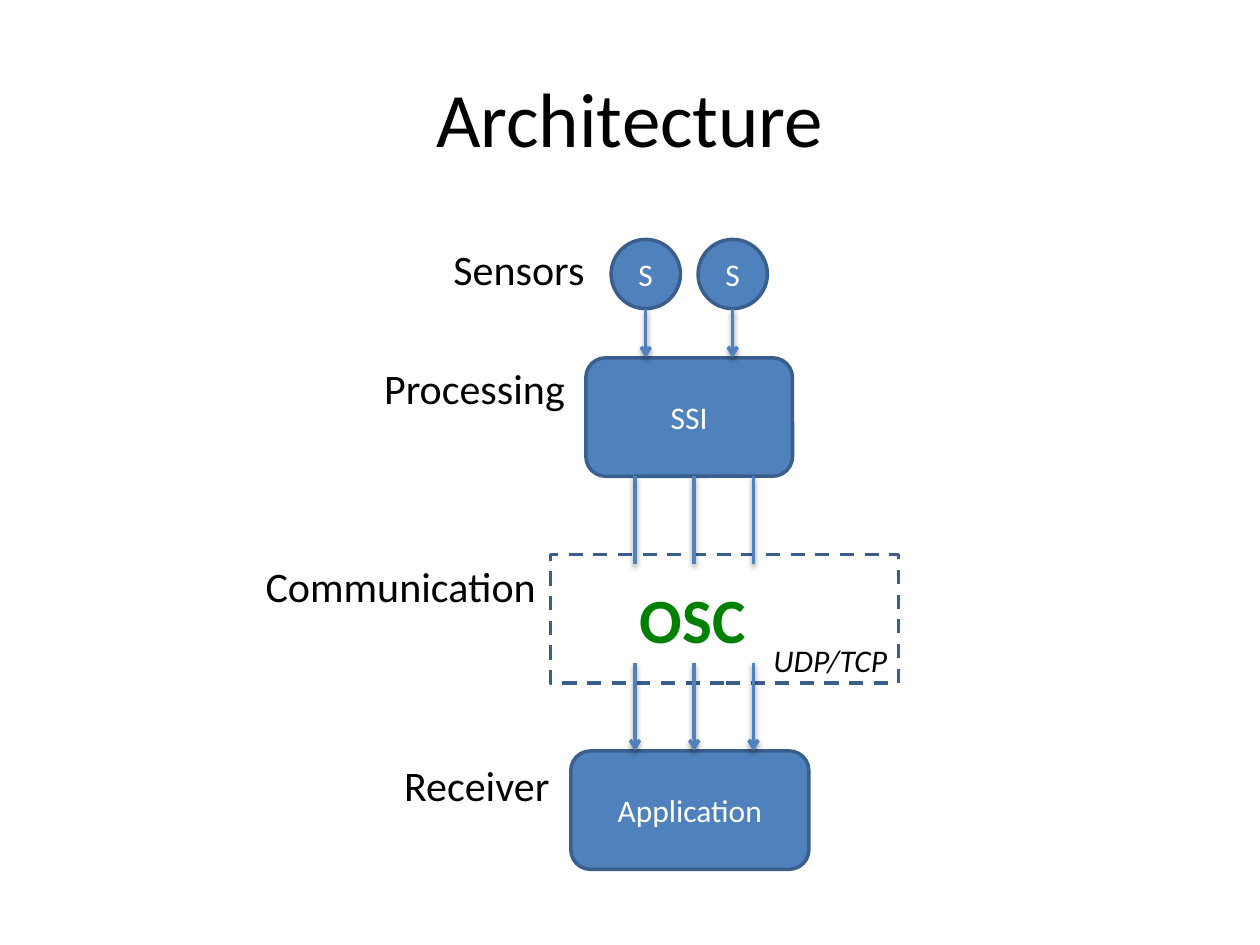
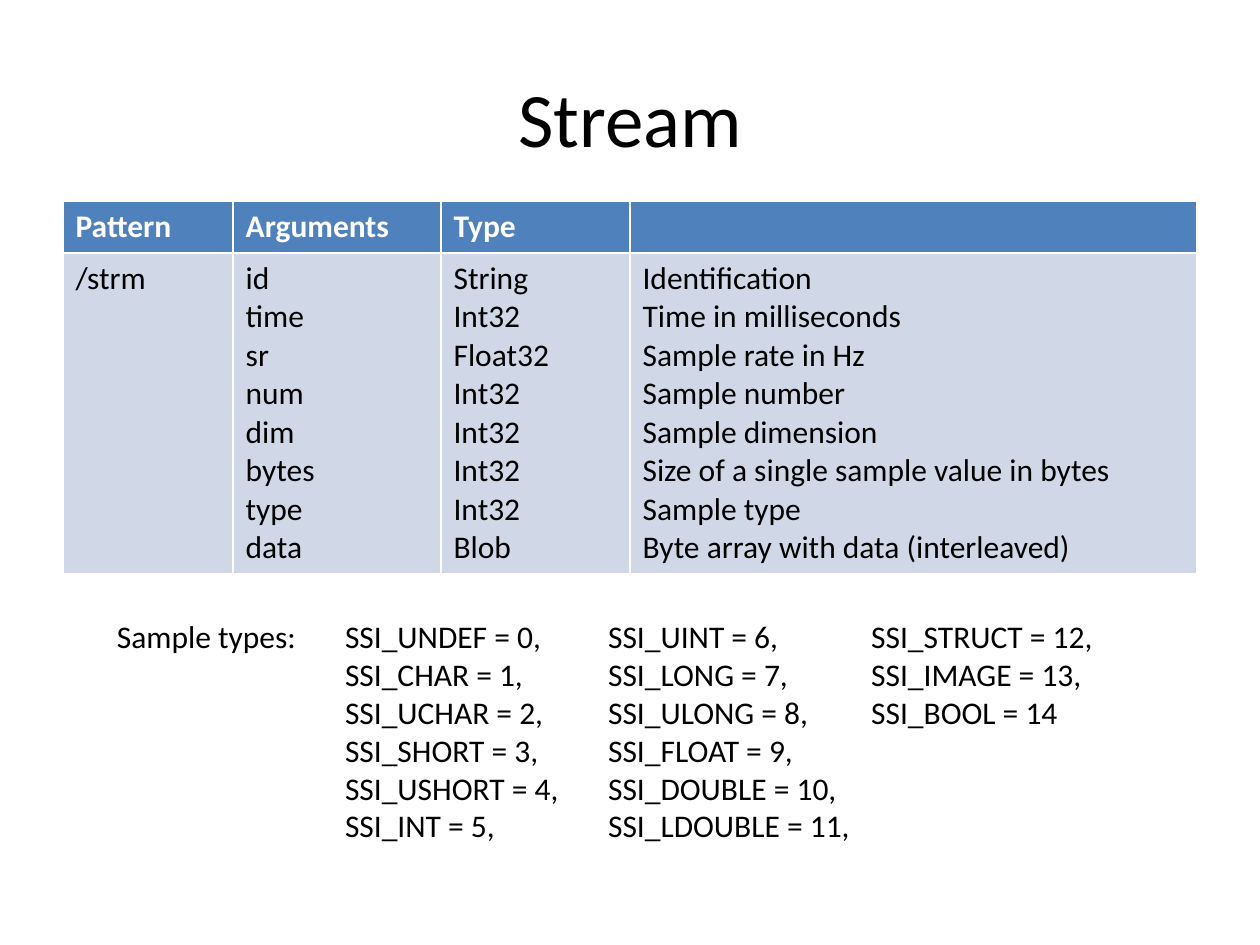
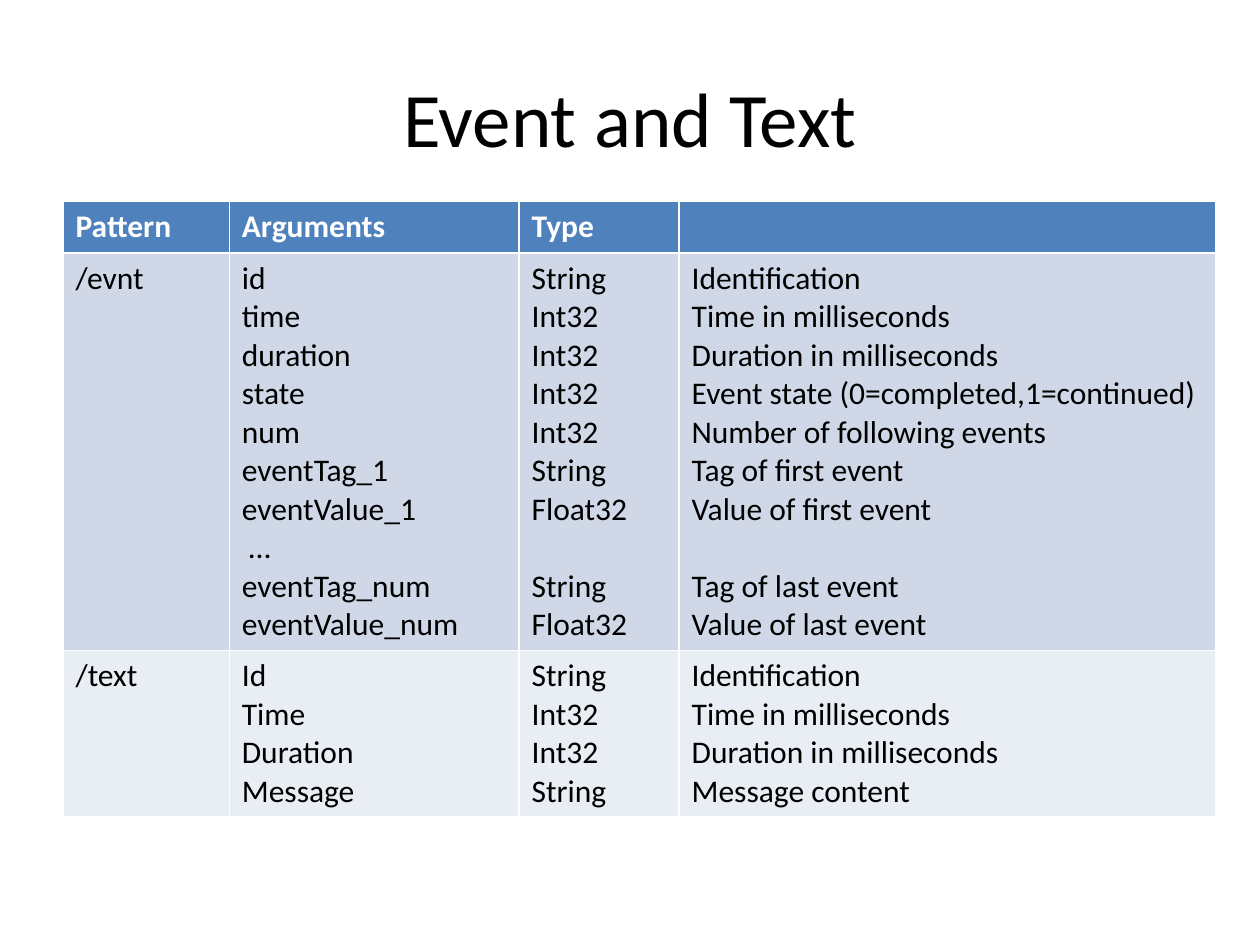
"""Build three slides on a sensor streaming architecture and its messages."""
from dataclasses import dataclass

import lxml.etree
import pptx
import pptx.dml.color
import pptx.enum.dml
import pptx.enum.shapes
import pptx.enum.text
import pptx.oxml
import pptx.oxml.ns
import pptx.util

FONT = "Calibri"
BLACK, WHITE, GREEN = "000000", "FFFFFF", "008000"
BLUE, DARK_BLUE = "4F81BD", "3A5F8C"
BANDS = ("D0D8E8", "E9EDF4")

# The slide is laid out on a grid of 100 columns and 75 rows.
COLUMNS, ROWS = 100, 75
HEADER_ROWS, LINE_ROWS, CELL_PADDING_ROWS = 4.1, 3, 1
LINE_HEIGHT_PT = 22  # one line of 18 pt text

ALIGN = pptx.enum.text.PP_ALIGN
SHAPE = pptx.enum.shapes.MSO_SHAPE
TITLE_ONLY = 5

presentation = pptx.Presentation()
presentation.slide_width = pptx.util.Inches(10)
presentation.slide_height = pptx.util.Inches(7.5)


@dataclass(frozen=True)
class Box:
    """A rectangle in grid columns and rows."""
    left: float
    top: float
    width: float
    height: float

    def emu(self) -> tuple:
        """Return left, top, width and height as slide lengths."""
        return across(self.left), down(self.top), across(self.width), down(self.height)


@dataclass(frozen=True)
class Style:
    """The look of a piece of text."""
    size: float = 18
    color: str = BLACK
    bold: bool = False
    italic: bool = False
    align: ALIGN = ALIGN.LEFT


@dataclass(frozen=True)
class Node:
    """A filled shape with a centred caption."""
    caption: str
    kind: SHAPE
    box: Box


@dataclass(frozen=True)
class Label:
    """A free-standing text."""
    lines: tuple
    box: Box
    style: Style = Style()
    text_columns: int = 1


@dataclass(frozen=True)
class Flow:
    """A line running down from one stage to the next."""
    start: tuple
    end: tuple
    arrow: bool = True


@dataclass(frozen=True)
class Message:
    """One message pattern with its (argument, type, meaning) rows."""
    pattern: str
    arguments: tuple


def across(columns: float) -> int:
    """Turn grid columns into a slide length."""
    return round(presentation.slide_width * columns / COLUMNS)


def down(rows: float) -> int:
    """Turn grid rows into a slide length."""
    return round(presentation.slide_height * rows / ROWS)


def rgb(color: str) -> pptx.dml.color.RGBColor:
    """Turn a hex string into a colour."""
    return pptx.dml.color.RGBColor.from_string(color)


def write(frame, lines: tuple, style: Style) -> None:
    """Fill a text frame with one paragraph a line; an empty line becomes spacing."""
    gap = 0
    paragraph = None
    for line in lines:
        if not line:
            gap += LINE_HEIGHT_PT
            continue
        paragraph = frame.add_paragraph() if paragraph is not None else frame.paragraphs[0]
        paragraph.text = line
        paragraph.alignment = style.align
        if gap:
            paragraph.space_before = pptx.util.Pt(gap)
            gap = 0
        font = paragraph.font
        font.name, font.size = FONT, pptx.util.Pt(style.size)
        font.bold, font.italic = style.bold, style.italic
        font.color.rgb = rgb(style.color)


def add_titled_slide(title: str):
    """Add a slide with its formatted title."""
    slide = presentation.slides.add_slide(presentation.slide_layouts[TITLE_ONLY])
    heading = slide.shapes.title
    heading.left, heading.top, heading.width, heading.height = Box(5, 3, 90, 12.5).emu()
    heading.text_frame.vertical_anchor = pptx.enum.text.MSO_ANCHOR.MIDDLE
    write(heading.text_frame, (title,), Style(44, align=ALIGN.CENTER))
    return slide


def add_outlined(slide, kind: SHAPE, box: Box):
    """Add a preset shape with the shared dark outline and no shadow."""
    shape = slide.shapes.add_shape(kind, *box.emu())
    shape.shadow.inherit = False
    shape.line.color.rgb = rgb(DARK_BLUE)
    shape.line.width = pptx.util.Pt(2)
    return shape


def add_node(slide, node: Node) -> None:
    """Draw a node of the architecture."""
    shape = add_outlined(slide, node.kind, node.box)
    shape.fill.solid()
    shape.fill.fore_color.rgb = rgb(BLUE)
    shape.text_frame.vertical_anchor = pptx.enum.text.MSO_ANCHOR.MIDDLE
    write(shape.text_frame, (node.caption,), Style(color=WHITE, align=ALIGN.CENTER))


def add_boundary(slide, box: Box) -> None:
    """Draw the dashed frame around the transport layer."""
    shape = add_outlined(slide, SHAPE.RECTANGLE, box)
    shape.fill.background()
    shape.line.dash_style = pptx.enum.dml.MSO_LINE.DASH


def add_label(slide, label: Label) -> None:
    """Draw a text; only text in several columns wraps."""
    frame = slide.shapes.add_textbox(*label.box.emu()).text_frame
    frame.word_wrap = label.text_columns > 1
    frame.auto_size = pptx.enum.text.MSO_AUTO_SIZE.SHAPE_TO_FIT_TEXT
    if label.text_columns > 1:
        frame._txBody.bodyPr.set("numCol", str(label.text_columns))
    write(frame, label.lines, label.style)


def add_flow(slide, flow: Flow) -> None:
    """Draw a flow line with a soft shadow and, if asked, an arrowhead."""
    (x1, y1), (x2, y2) = flow.start, flow.end
    connector = slide.shapes.add_connector(
        pptx.enum.shapes.MSO_CONNECTOR.STRAIGHT,
        across(x1), down(y1), across(x2), down(y2))
    connector.line.color.rgb = rgb(BLUE)
    connector.line.width = pptx.util.Pt(2)
    if flow.arrow:
        lxml.etree.SubElement(connector.line._get_or_add_ln(),
                              pptx.oxml.ns.qn("a:tailEnd"), type="arrow")
    connector._element.spPr.append(pptx.oxml.parse_xml(
        f'<a:effectLst {pptx.oxml.ns.nsdecls("a")}>'
        '<a:outerShdw blurRad="40000" dist="20000" dir="5400000" rotWithShape="0">'
        f'<a:srgbClr val="{BLACK}"><a:alpha val="38000"/></a:srgbClr>'
        '</a:outerShdw></a:effectLst>'))


def add_message_table(slide, widths: tuple, messages: tuple) -> None:
    """Draw a table of messages, each row as high as its argument list."""
    heights = [HEADER_ROWS] + [
        len(message.arguments) * LINE_ROWS + CELL_PADDING_ROWS for message in messages]
    box = Box(5, 16, sum(widths), sum(heights))
    table = slide.shapes.add_table(len(heights), len(widths), *box.emu()).table
    for column, width in zip(table.columns, widths):
        column.width = across(width)
    for row, height in zip(table.rows, heights):
        row.height = down(height)

    header = (("Pattern",), ("Arguments",), ("Type",), ())
    body = [((message.pattern,), *zip(*message.arguments)) for message in messages]
    for row_index, contents in enumerate([header, *body]):
        is_header = row_index == 0
        style = Style(color=WHITE, bold=True) if is_header else Style()
        fill = BLUE if is_header else BANDS[(row_index - 1) % len(BANDS)]
        for cell, lines in zip(table.rows[row_index].cells, contents):
            cell.fill.solid()
            cell.fill.fore_color.rgb = rgb(fill)
            write(cell.text_frame, lines, style)


def build_architecture() -> None:
    """Show the way from the sensors to the receiver."""
    slide = add_titled_slide("Architecture")
    sensors_top, sensor_size = 19, 5.5
    processing = Box(46.5, 28.4, 16.4, 9.4)
    receiver = Box(45.3, 59.6, 18.9, 9.4)
    processing_bottom = processing.top + processing.height
    sensor_centres = (51.25, 58.15)
    lanes = [55.1 + offset for offset in (4.7, 0, -4.7)]
    lane_length = 7

    add_boundary(slide, Box(43.7, 44, 27.6, 10.2))
    add_node(slide, Node("Application", SHAPE.ROUNDED_RECTANGLE, receiver))
    add_node(slide, Node("SSI", SHAPE.ROUNDED_RECTANGLE, processing))
    for centre in sensor_centres:
        add_node(slide, Node("S", SHAPE.OVAL, Box(
            centre - sensor_size / 2, sensors_top, sensor_size, sensor_size)))
        add_flow(slide, Flow((centre, sensors_top + sensor_size), (centre, processing.top)))
    for lane in lanes:
        add_flow(slide, Flow((lane, processing_bottom),
                             (lane, processing_bottom + lane_length), arrow=False))
        add_flow(slide, Flow((lane, receiver.top - lane_length), (lane, receiver.top)))

    stages = (("Sensors", 35, 18.8, 12.5), ("Processing", 29.5, 28.3, 16.5),
              ("Communication", 20.1, 44, 23.7), ("Receiver", 31.1, 59.8, 13.7))
    for stage, left, top, width in stages:
        add_label(slide, Label((stage,), Box(left, top, width, 5), Style(24)))
    add_label(slide, Label(("OSC",), Box(49.8, 45.6, 10.5, 7.1),
                           Style(36, GREEN, bold=True)))
    add_label(slide, Label(("UDP/TCP",), Box(60.2, 50.4, 11.2, 7.1),
                           Style(italic=True, align=ALIGN.RIGHT)))


def build_stream() -> None:
    """Show the stream message and the sample type codes."""
    slide = add_titled_slide("Stream")
    add_message_table(slide, (13.5, 16.5, 15, 45), (
        Message("/strm", (
            ("id", "String", "Identification"),
            ("time", "Int32", "Time in milliseconds"),
            ("sr", "Float32", "Sample rate in Hz"),
            ("num", "Int32", "Sample number"),
            ("dim", "Int32", "Sample dimension"),
            ("bytes", "Int32", "Size of a single sample value in bytes"),
            ("type", "Int32", "Sample type"),
            ("data", "Blob", "Byte array with data (interleaved)"))),))

    sample_types = ("UNDEF", "CHAR", "UCHAR", "SHORT", "USHORT", "INT", "UINT", "LONG",
                    "ULONG", "FLOAT", "DOUBLE", "LDOUBLE", "STRUCT", "IMAGE", "BOOL")
    last = len(sample_types) - 1
    codes = tuple(f"SSI_{name} = {code}" + ("," if code < last else "")
                  for code, name in enumerate(sample_types))
    add_label(slide, Label(codes, Box(26.4, 48.5, 64.6, 19.2), text_columns=3))
    add_label(slide, Label(("Sample types:",), Box(8.3, 48.5, 16.4, 4)))


def build_event_and_text() -> None:
    """Show the event and text messages."""
    slide = add_titled_slide("Event and Text")
    add_message_table(slide, (13.2, 23, 12.7, 42.6), (
        Message("/evnt", (
            ("id", "String", "Identification"),
            ("time", "Int32", "Time in milliseconds"),
            ("duration", "Int32", "Duration in milliseconds"),
            ("state", "Int32", "Event state (0=completed,1=continued)"),
            ("num", "Int32", "Number of following events"),
            ("eventTag_1", "String", "Tag of first event"),
            ("eventValue_1", "Float32", "Value of first event"),
            (" …", "", ""),
            ("eventTag_num", "String", "Tag of last event"),
            ("eventValue_num", "Float32", "Value of last event"))),
        Message("/text", (
            ("Id", "String", "Identification"),
            ("Time", "Int32", "Time in milliseconds"),
            ("Duration", "Int32", "Duration in milliseconds"),
            ("Message", "String", "Message content")))))


build_architecture()
build_stream()
build_event_and_text()
presentation.save("out.pptx")
